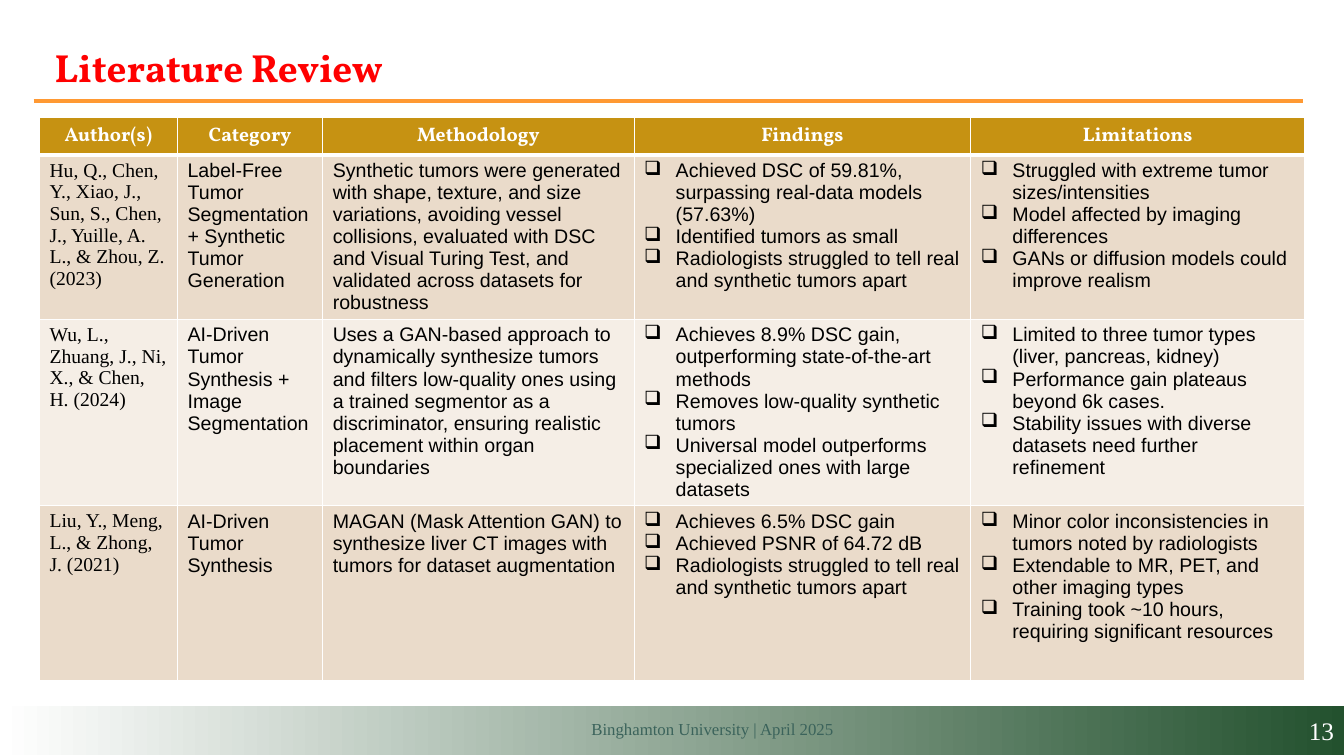
from lxml.etree import SubElement
from pptx import Presentation
from pptx.dml.color import RGBColor
from pptx.enum.shapes import MSO_CONNECTOR as Connector, MSO_SHAPE as Shape
from pptx.enum.text import MSO_ANCHOR as Anchor, MSO_AUTO_SIZE as AutoSize, PP_ALIGN as Align
from pptx.oxml import parse_xml
from pptx.oxml.ns import nsdecls, qn
from pptx.util import Pt

HEADINGS = ["Author(s)", "Category", "Methodology", "Findings", "Limitations"]
COLUMN_WIDTHS = [98.6, 103.7, 222.5, 240.5, 238.3]
ROW_HEIGHTS = [26.7, 104.4, 120.2, 125.3]

# A list in a cell becomes a bulleted list.
STUDIES = [
    ["Hu, Q., Chen, Y., Xiao, J., Sun, S., Chen, J., Yuille, A. L., & Zhou, Z. (2023)",
     "Label-Free Tumor Segmentation + Synthetic Tumor Generation",
     "Synthetic tumors were generated with shape, texture, and size variations, avoiding vessel "
     "collisions, evaluated with DSC and Visual Turing Test, and validated across datasets for "
     "robustness",
     ["Achieved DSC of 59.81%, surpassing real-data models (57.63%)",
      "Identified tumors as small",
      "Radiologists struggled to tell real and synthetic tumors apart"],
     ["Struggled with extreme tumor sizes/intensities",
      "Model affected by imaging differences",
      "GANs or diffusion models could improve realism"]],
    ["Wu, L., Zhuang, J., Ni, X., & Chen, H. (2024)",
     "AI-Driven Tumor Synthesis + Image Segmentation",
     "Uses a GAN-based approach to dynamically synthesize tumors and filters low-quality ones "
     "using a trained segmentor as a discriminator, ensuring realistic placement within organ "
     "boundaries",
     ["Achieves 8.9% DSC gain, outperforming state-of-the-art methods",
      "Removes low-quality synthetic tumors",
      "Universal model outperforms specialized ones with large datasets"],
     ["Limited to three tumor types (liver, pancreas, kidney)",
      "Performance gain plateaus beyond 6k cases.",
      "Stability issues with diverse datasets need further refinement"]],
    ["Liu, Y., Meng, L., & Zhong, J. (2021)",
     "AI-Driven Tumor Synthesis",
     "MAGAN (Mask Attention GAN) to synthesize liver CT images with tumors for dataset "
     "augmentation",
     ["Achieves 6.5% DSC gain",
      "Achieved PSNR of 64.72 dB",
      "Radiologists struggled to tell real and synthetic tumors apart"],
     ["Minor color inconsistencies in tumors noted by radiologists",
      "Extendable to MR, PET, and other imaging types",
      "Training took ~10 hours, requiring significant resources"]],
]


def color(value):
    return RGBColor.from_string(value)


class SlideBuilder:
    HEADING_FONT, SERIF, SANS = "Vollkorn", "Times New Roman", "Arial"
    WHITE, BLACK, RED, ORANGE = "FFFFFF", "000000", "FF0000", "FF9933"
    GREEN, TEAL, GOLD = "23512E", "3B635B", "C69212"
    BANDS = ["EADBCA", "F5EEE6"]
    BULLET_INDENT = 22.5

    def __init__(self, slide):
        self.slide = slide

    def add_run(self, paragraph, text, font, size, text_color, bold=False, align=Align.LEFT):
        paragraph.alignment = align
        run = paragraph.add_run()
        run.text = text
        run.font.name = font
        run.font.size = Pt(size)
        run.font.bold = bold
        run.font.color.rgb = color(text_color)

    def rule(self, left, right, top):
        line = self.slide.shapes.add_connector(
            Connector.STRAIGHT, Pt(left), Pt(top), Pt(right), Pt(top))
        line.line.color.rgb = color(self.ORANGE)
        line.line.width = Pt(3)
        SubElement(line._element.spPr, qn("a:effectLst"))

    def page_band(self, left, top, width, height, number):
        band = self.slide.shapes.add_shape(
            Shape.RECTANGLE, Pt(left), Pt(top), Pt(width), Pt(height))
        band.shadow.inherit = False
        band.line.fill.background()
        band.fill.gradient()
        band.fill.gradient_angle = 0
        for stop, stop_color in zip(band.fill.gradient_stops, [self.WHITE, self.GREEN]):
            stop.color.rgb = color(stop_color)
        band.text_frame.vertical_anchor = Anchor.MIDDLE
        self.add_run(band.text_frame.paragraphs[0], number, self.SERIF, 18, self.WHITE,
                     align=Align.RIGHT)

    def text(self, left, top, width, height, text, *style, anchor=Anchor.TOP, **options):
        box = self.slide.shapes.add_textbox(Pt(left), Pt(top), Pt(width), Pt(height))
        frame = box.text_frame
        frame.word_wrap = True
        frame.auto_size = AutoSize.NONE
        frame.vertical_anchor = anchor
        self.add_run(frame.paragraphs[0], text, *style, **options)

    def bullet(self, paragraph):
        properties = paragraph._p.get_or_add_pPr()
        indent = Pt(self.BULLET_INDENT)
        properties.set("marL", str(indent))
        properties.set("indent", str(-indent))
        bullet_color = SubElement(properties, qn("a:buClr"))
        SubElement(bullet_color, qn("a:srgbClr"), val=self.BLACK)
        SubElement(properties, qn("a:buChar"), char="❑")

    def paint_cell(self, cell, fill, top=1, bottom=1):
        """Fill the cell and give it white borders; top and bottom are line widths."""
        cell.fill.solid()
        cell.fill.fore_color.rgb = color(fill)
        borders = [("L", 1), ("R", 1), ("T", top), ("B", bottom)]
        for position, (side, width) in enumerate(borders):
            cell._tc.get_or_add_tcPr().insert(position, parse_xml(
                f'<a:ln{side} {nsdecls("a")} w="{Pt(width)}"><a:solidFill>'
                f'<a:srgbClr val="{self.WHITE}"/></a:solidFill></a:ln{side}>'))

    def fill_cell(self, cell, content, font):
        items = content if isinstance(content, list) else [content]
        for index, item in enumerate(items):
            frame = cell.text_frame
            paragraph = frame.add_paragraph() if index else frame.paragraphs[0]
            if isinstance(content, list):
                self.bullet(paragraph)
            self.add_run(paragraph, item, font, 14, self.BLACK)

    def review_table(self, left, top, headings, studies):
        table = self.slide.shapes.add_table(
            len(studies) + 1, len(headings), Pt(left), Pt(top),
            Pt(sum(COLUMN_WIDTHS)), Pt(sum(ROW_HEIGHTS))).table
        for column, width in zip(table.columns, COLUMN_WIDTHS):
            column.width = Pt(width)
        for row, height in zip(table.rows, ROW_HEIGHTS):
            row.height = Pt(height)
        for column, heading in enumerate(headings):
            cell = table.cell(0, column)
            self.paint_cell(cell, self.GOLD, bottom=3)
            self.add_run(cell.text_frame.paragraphs[0], heading, self.HEADING_FONT, 14,
                         self.WHITE, bold=True, align=Align.CENTER)
        for row, study in enumerate(studies, start=1):
            for column, content in enumerate(study):
                cell = table.cell(row, column)
                self.paint_cell(cell, self.BANDS[(row - 1) % 2], top=3 if row == 1 else 1)
                self.fill_cell(cell, content, self.SANS if column else self.SERIF)


def main():
    presentation = Presentation()
    presentation.slide_width, presentation.slide_height = Pt(960), Pt(540)
    builder = SlideBuilder(presentation.slides.add_slide(presentation.slide_layouts[6]))
    builder.rule(24, 931, 72)
    builder.page_band(0, 504, 960, 35.5, "13")
    builder.text(386.6, 510, 216, 21.6, "Binghamton University | April 2025",
                 builder.SERIF, 12, builder.TEAL, align=Align.RIGHT)
    builder.text(32, 22.5, 892, 50.4, "Literature Review", builder.HEADING_FONT, 28,
                 builder.RED, bold=True, anchor=Anchor.MIDDLE)
    builder.review_table(28.2, 83.8, HEADINGS, STUDIES)
    presentation.save("out.pptx")


if __name__ == "__main__":
    main()
